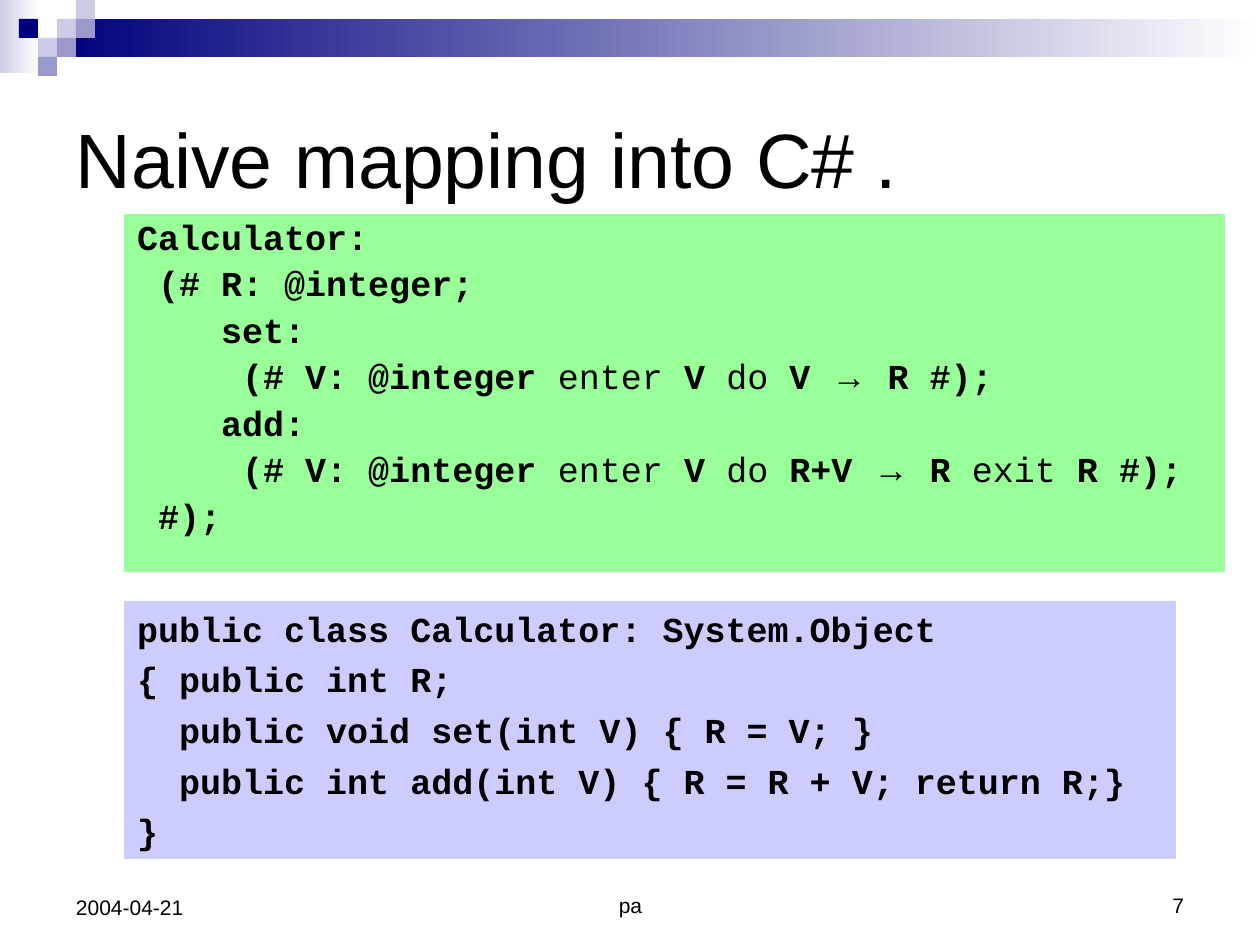
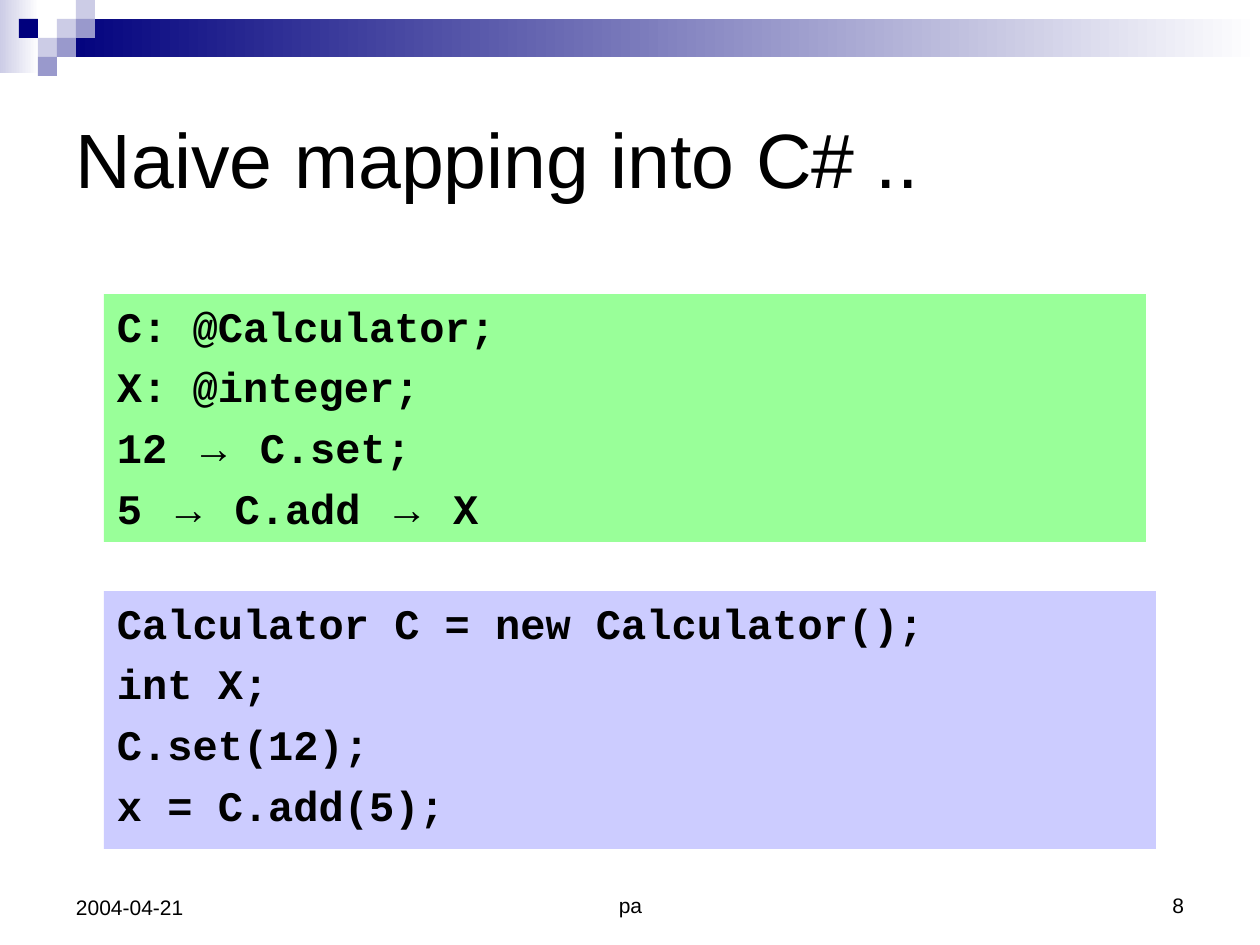
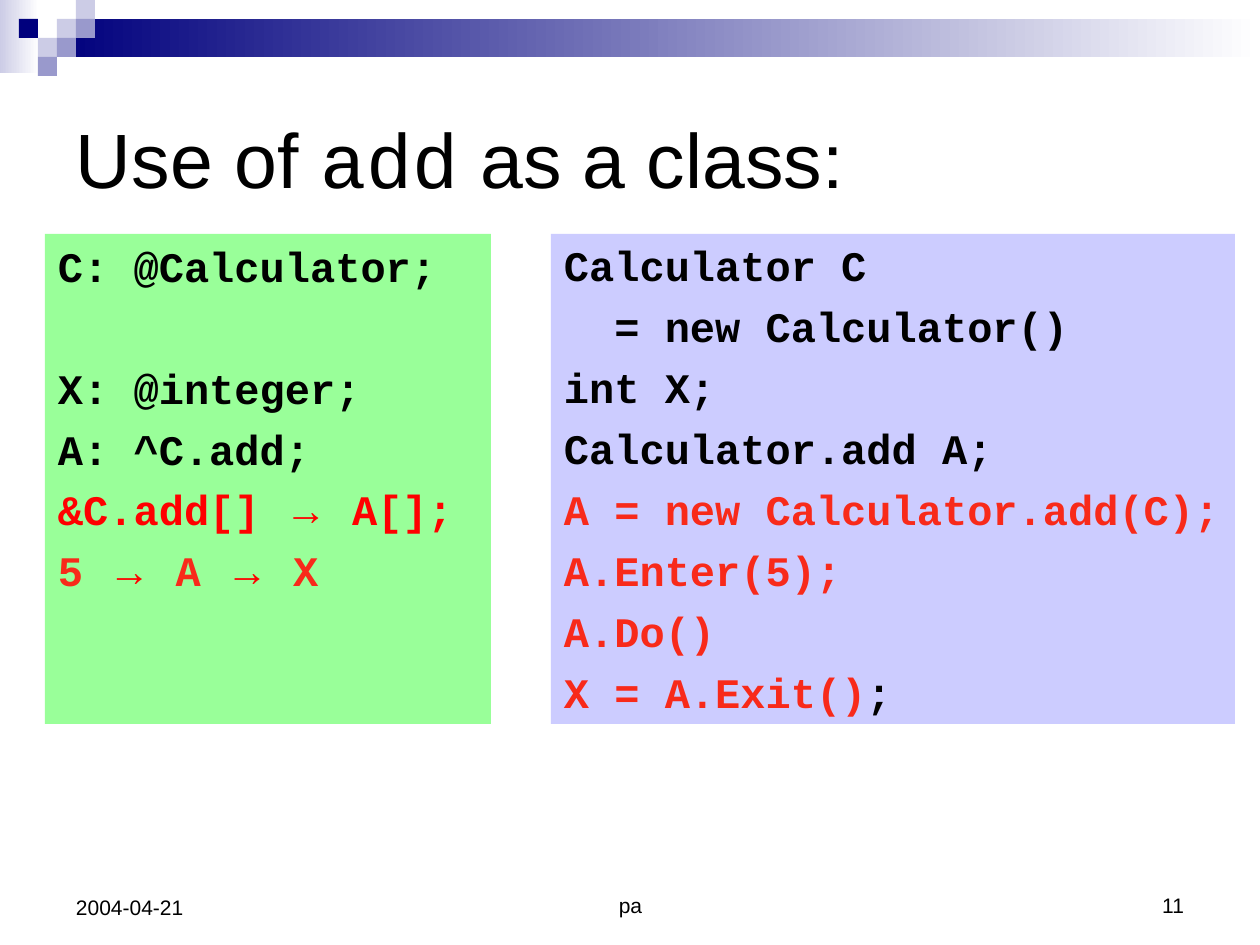
from lxml.etree import SubElement
from pptx import Presentation
from pptx.dml.color import RGBColor
from pptx.enum.shapes import MSO_SHAPE
from pptx.enum.text import MSO_ANCHOR, MSO_AUTO_SIZE, PP_ALIGN
from pptx.oxml.ns import qn
from pptx.util import Pt

PX = 914400 // 126
SLIDE_W, SLIDE_H = 1260, 945
CELL = 19
INSET_X, INSET_Y = 13, 6
HANGING = 48
SANS, MONO = "Arial", "Courier New"
ARROW = "→"
KEYWORDS = {"enter", "do", "exit"}
COLORS = {
    "text": "000000", "red": "FF0000", "orange": "F82A1A",
    "white": "FFFFFF", "navy": "00007D", "mid": "9999CC", "light": "CCCCE6",
    "beta": "99FF99", "csharp": "CCCCFF",
}


def rgb(name):
    return RGBColor.from_string(COLORS[name])


def place(shape, box):
    shape.left, shape.top, shape.width, shape.height = (v * PX for v in box)


def style_run(r, size, font=SANS, color="text", bold=False):
    r.font.size, r.font.name, r.font.bold = Pt(size), font, bold
    r.font.color.rgb = rgb(color)


def set_frame(tf, anchor):
    tf.word_wrap = True
    tf.auto_size = MSO_AUTO_SIZE.NONE
    tf.vertical_anchor = anchor
    tf.margin_left = tf.margin_right = INSET_X * PX
    tf.margin_top = tf.margin_bottom = INSET_Y * PX


def add_block(group, box, color, fades=False):
    block = group.shapes.add_shape(MSO_SHAPE.RECTANGLE, *(v * PX for v in box))
    block.shadow.inherit = False
    block.line.fill.background()
    if fades:
        block.fill.gradient()
        block.fill.gradient_angle = 180
        for stop, name in zip(block.fill.gradient_stops, ("white", color)):
            stop.color.rgb = rgb(name)
    else:
        block.fill.solid()
        block.fill.fore_color.rgb = rgb(color)


def add_band(s, layout):
    """Draw the header band and move it to the layout, behind its placeholders."""
    group = s.shapes.add_group_shape()
    add_block(group, (0, 0, 39, 73), "light", fades=True)
    add_block(group, (3 * CELL, CELL, SLIDE_W - 3 * CELL, 2 * CELL), "navy", fades=True)
    for col, row, color in ((3, 1, "light"), (4, 0, "light"), (4, 1, "mid"), (2, 2, "light"),
                            (1, 1, "navy"), (3, 2, "mid"), (2, 3, "mid")):
        add_block(group, (col * CELL, row * CELL, CELL, CELL), color)
    layout.shapes.element.insert(2, group.element)


def prepare_layout(layout):
    for ph in list(layout.placeholders):
        if ph.placeholder_format.idx >= 10:
            ph.element.getparent().remove(ph.element)
    place(layout.placeholders[0], (63, 63, 1134, 189))


def fill_title(s, parts):
    tf = s.shapes.title.text_frame
    set_frame(tf, MSO_ANCHOR.MIDDLE)
    p = tf.paragraphs[0]
    p.alignment = PP_ALIGN.LEFT
    for text, font in parts:
        r = p.add_run()
        r.text = text
        style_run(r, 44, font)


def fill_code(shape, box, color, lines, size, spacing=1.0, gaps=None):
    """Fill a code panel; gaps maps a line number to its own space before."""
    place(shape, box)
    shape.fill.solid()
    shape.fill.fore_color.rgb = rgb(color)
    tf = shape.text_frame
    gap = size // 4
    set_frame(tf, MSO_ANCHOR.TOP)
    for i, line in enumerate(lines):
        p = tf.add_paragraph() if i else tf.paragraphs[0]
        pPr = p._p.get_or_add_pPr()
        pPr.set("marL", str(HANGING * PX))
        pPr.set("indent", str(-HANGING * PX))
        SubElement(pPr, qn("a:buNone"))
        p.alignment = PP_ALIGN.LEFT
        p.line_spacing = spacing
        p.space_before = Pt((gaps or {}).get(i, gap) if i else 0)
        for part in [line] if isinstance(line, str) else line:
            text, ink = (part, "text") if isinstance(part, str) else part
            r = p.add_run()
            r.text = text
            style_run(r, size, SANS if text == ARROW else MONO, ink, text not in KEYWORDS)


def add_footer(s, number):
    for text, box, align in (("pa", (431, 861, 399, 63), PP_ALIGN.CENTER),
                             (str(number), (903, 861, 294, 63), PP_ALIGN.RIGHT),
                             ("2004-04-21", (63, 861, 294, 65), PP_ALIGN.LEFT)):
        tb = s.shapes.add_textbox(*(v * PX for v in box))
        tf = tb.text_frame
        set_frame(tf, MSO_ANCHOR.BOTTOM)
        tf.text = text
        p = tf.paragraphs[0]
        p.alignment = align
        style_run(p.runs[0], 12)


def add_code_slide(s, number, title, beta, csharp):
    """Put a Beta panel and its C# counterpart under a title."""
    fill_title(s, title)
    fill_code(s.placeholders[1], color="beta", **beta)
    fill_code(s.shapes.add_textbox(0, 0, PX, PX), color="csharp", **csharp)
    add_footer(s, number)


SLIDES = [
    dict(
        number=7,
        title=[("Naive mapping into C# .", SANS)],
        beta=dict(box=(124, 214, 1101, 358), size=20, spacing=0.9, lines=[
            "Calculator:",
            " (# R: @integer;",
            "    set:",
            ("     (# V: @integer ", "enter", " V ", "do", " V ", ARROW, " R #);"),
            "    add:",
            ("     (# V: @integer ", "enter", " V ", "do", " R+V ", ARROW, " R ", "exit", " R #);"),
            " #);",
        ]),
        csharp=dict(box=(124, 601, 1052, 258), size=20, lines=[
            "public class Calculator: System.Object",
            "{ public int R;",
            "  public void set(int V) { R = V; }",
            "  public int add(int V) { R = R + V; return R;}",
            "}",
        ]),
    ),
    dict(
        number=8,
        title=[("Naive mapping into C# ..", SANS)],
        beta=dict(box=(104, 294, 1042, 248), size=24, lines=[
            "C: @Calculator;",
            "X: @integer;",
            ("12 ", ARROW, " C.set;"),
            ("5 ", ARROW, " C.add ", ARROW, " X"),
        ]),
        csharp=dict(box=(104, 591, 1052, 258), size=24, lines=[
            "Calculator C = new Calculator();",
            "int X;",
            "C.set(12);",
            "x = C.add(5);",
        ]),
    ),
    dict(
        number=11,
        title=[("Use of ", SANS), ("add", MONO), (" as a class:", SANS)],
        beta=dict(box=(45, 234, 446, 490), size=24, gaps={1: 41}, lines=[
            "C: @Calculator;",
            "X: @integer;",
            "A: ^C.add;",
            (("&C.add[] ", "red"), (ARROW, "red"), (" A[];", "red")),
            (("5 ", "orange"), (ARROW, "red"), (" A ", "orange"), (ARROW, "red"),
             (" X", "orange")),
        ]),
        csharp=dict(box=(551, 234, 684, 490), size=24, lines=[
            "Calculator C",
            "  = new Calculator()",
            "int X;",
            "Calculator.add A;",
            (("A = new Calculator.add(C);", "orange"),),
            (("A.Enter(5);", "orange"),),
            (("A.Do()", "orange"),),
            (("X = A.Exit()", "orange"), ";"),
        ]),
    ),
]


def main():
    prs = Presentation()
    prs.slide_width, prs.slide_height = SLIDE_W * 914400 // 126, SLIDE_H * 914400 // 126
    layout = prs.slide_layouts[1]
    prepare_layout(layout)
    for i, content in enumerate(SLIDES):
        s = prs.slides.add_slide(layout)
        if i == 0:
            add_band(s, layout)
        add_code_slide(s, **content)
    prs.save("out.pptx")


if __name__ == "__main__":
    main()
